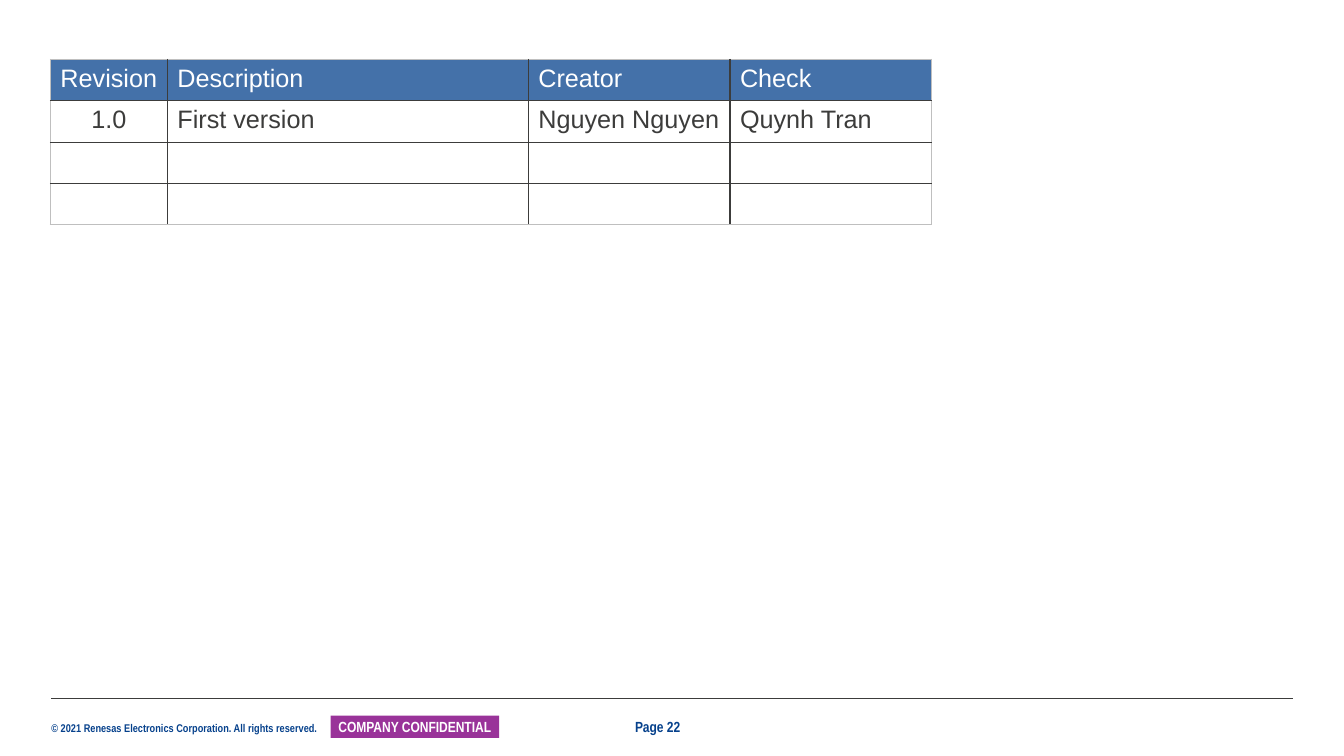
from dataclasses import dataclass

from lxml import etree
from pptx import Presentation
from pptx.dml.color import RGBColor
from pptx.enum.shapes import MSO_CONNECTOR, MSO_SHAPE
from pptx.enum.text import MSO_ANCHOR, PP_ALIGN
from pptx.oxml.ns import qn
from pptx.util import Inches, Pt

CENTER, LEFT = PP_ALIGN.CENTER, PP_ALIGN.LEFT
MIDDLE, TOP = MSO_ANCHOR.MIDDLE, MSO_ANCHOR.TOP
STRAIGHT, RECTANGLE = MSO_CONNECTOR.STRAIGHT, MSO_SHAPE.RECTANGLE

REVISIONS = [
    ("Revision", "Description", "Creator", "Check"),
    ("1.0", "First version", "Nguyen Nguyen", "Quynh Tran"),
    ("", "", "", ""),
    ("", "", "", ""),
]
COLUMN_WIDTHS = (1.16, 3.58, 2, 2)
ROW_HEIGHT = 0.41
TABLE_LEFT, TABLE_TOP = 0.5, 0.59
RULE_LEFT, RULE_RIGHT, RULE_TOP = 0.51, 12.82, 6.93
COPYRIGHT = "© 2021 Renesas Electronics Corporation. All rights reserved."
CONFIDENTIAL = "COMPANY CONFIDENTIAL"
PAGE_NUMBER = "Page 22"


@dataclass(frozen=True)
class Theme:
    ink: str = "3C3C3B"
    white: str = "FFFFFF"
    header: str = "4471A9"
    footer: str = "06418C"
    label: str = "993399"
    edge: str = "BFBFBF"
    table_font: str = "Arial"
    footer_font: str = "Arial Narrow"
    table_size: float = 18
    footer_size: float = 10.5
    copyright_size: float = 8


THEME = Theme()


def style_font(font, name, size, color, bold=False):
    font.name, font.size, font.bold = name, Pt(size), bold
    font.color.rgb = RGBColor.from_string(color)


def add_border(cell, side, color):
    line = etree.SubElement(cell._tc.get_or_add_tcPr(), qn(f"a:ln{side}"), w=str(Pt(1)))
    fill = etree.SubElement(line, qn("a:solidFill"))
    etree.SubElement(fill, qn("a:srgbClr"), val=color)


def fill_cell(cell, text, row, column):
    last_row, last_column = len(REVISIONS) - 1, len(COLUMN_WIDTHS) - 1
    outer = {"L": column == 0, "R": column == last_column, "T": row == 0, "B": row == last_row}
    for side, is_outer in outer.items():
        add_border(cell, side, THEME.edge if is_outer else THEME.ink)
    if row == 0:
        cell.fill.solid()
        cell.fill.fore_color.rgb = RGBColor.from_string(THEME.header)
    else:
        cell.fill.background()
    cell.text_frame.text = text
    para = cell.text_frame.paragraphs[0]
    para.alignment = CENTER if row and column == 0 else LEFT
    for span in para.runs:
        style_font(span.font, THEME.table_font, THEME.table_size,
                   THEME.ink if row else THEME.white)


def add_revision_table(page):
    frame = page.shapes.add_table(
        len(REVISIONS), len(COLUMN_WIDTHS), Inches(TABLE_LEFT), Inches(TABLE_TOP),
        Inches(sum(COLUMN_WIDTHS)), Inches(ROW_HEIGHT * len(REVISIONS)))
    table = frame.table
    for column, width in zip(table.columns, COLUMN_WIDTHS):
        column.width = Inches(width)
    for row, values in enumerate(REVISIONS):
        table.rows[row].height = Inches(ROW_HEIGHT)
        for column, text in enumerate(values):
            fill_cell(table.cell(row, column), text, row, column)


def set_footer_text(box, text, size, color, side_margin, alignment, anchor):
    frame = box.text_frame
    frame.word_wrap = False
    frame.vertical_anchor = anchor
    frame.margin_left = frame.margin_right = Inches(side_margin)
    frame.margin_top = frame.margin_bottom = 0
    frame.text = text
    para = frame.paragraphs[0]
    para.alignment = alignment
    style_font(para.runs[0].font, THEME.footer_font, size, color, bold=True)


def add_footer(page):
    rule = page.shapes.add_connector(
        STRAIGHT, Inches(RULE_LEFT), Inches(RULE_TOP), Inches(RULE_RIGHT), Inches(RULE_TOP))
    rule.line.color.rgb = RGBColor.from_string(THEME.ink)
    rule.line.width = Pt(0.5)
    etree.SubElement(rule._element.spPr, qn("a:effectLst"))

    notice = page.shapes.add_textbox(Inches(RULE_LEFT), Inches(7.16), Inches(2.73), Inches(0.13))
    set_footer_text(notice, COPYRIGHT, THEME.copyright_size, THEME.footer, 0, LEFT, TOP)

    label = page.shapes.add_shape(
        RECTANGLE, Inches(3.28), Inches(7.1), Inches(1.67), Inches(0.22))
    label.shadow.inherit = False
    label.fill.solid()
    label.fill.fore_color.rgb = RGBColor.from_string(THEME.label)
    label.line.fill.background()
    set_footer_text(label, CONFIDENTIAL, THEME.footer_size, THEME.white, 0.04, CENTER, MIDDLE)

    number = page.shapes.add_textbox(Inches(6.2), Inches(7.07), Inches(0.67), Inches(0.28))
    set_footer_text(number, PAGE_NUMBER, THEME.footer_size, THEME.footer, 0.1, LEFT, MIDDLE)


def main():
    deck = Presentation()
    deck.slide_width, deck.slide_height = Inches(13.33), Inches(7.5)
    page = deck.slides.add_slide(deck.slide_layouts[6])
    add_footer(page)
    add_revision_table(page)
    deck.save("out.pptx")


if __name__ == "__main__":
    main()
